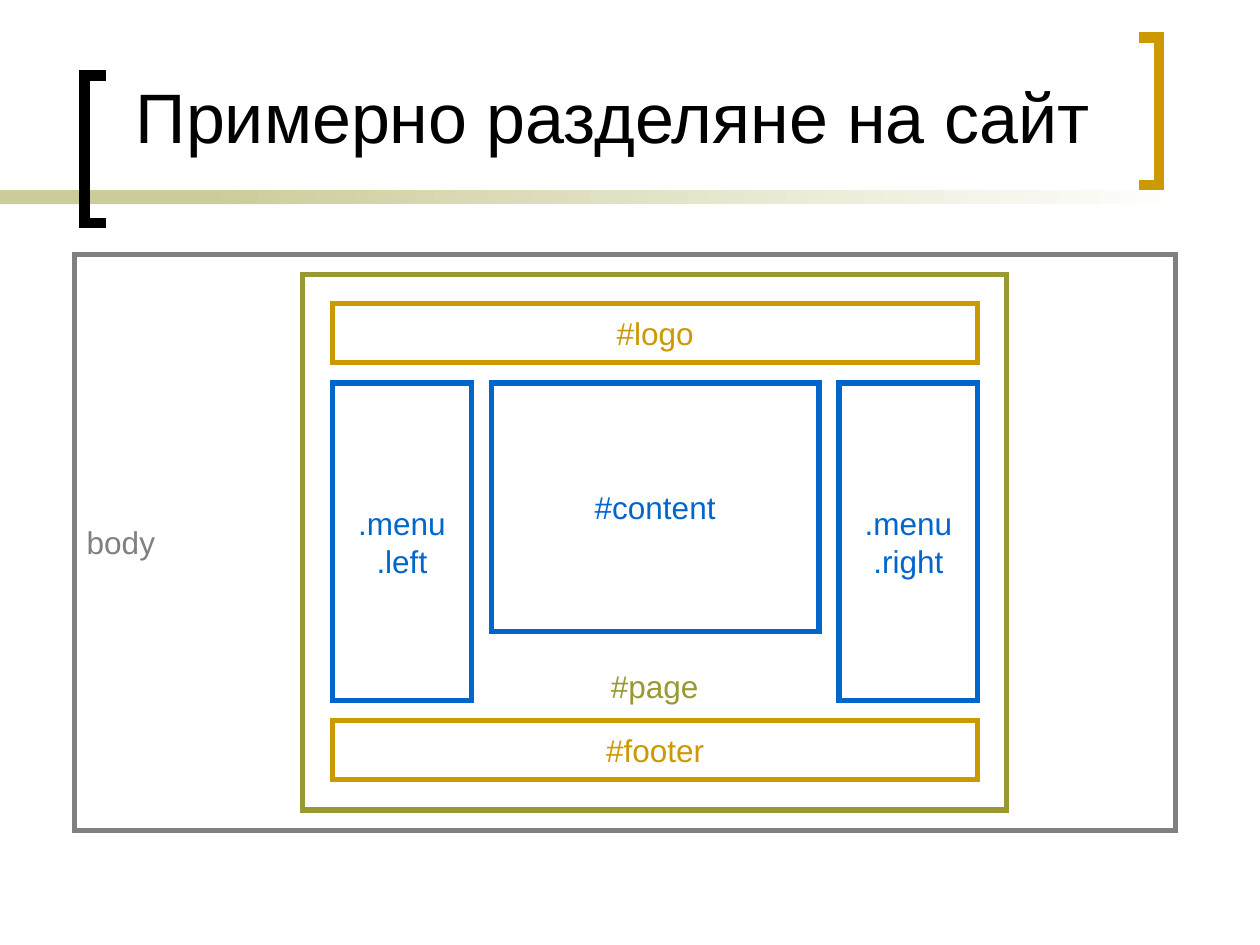
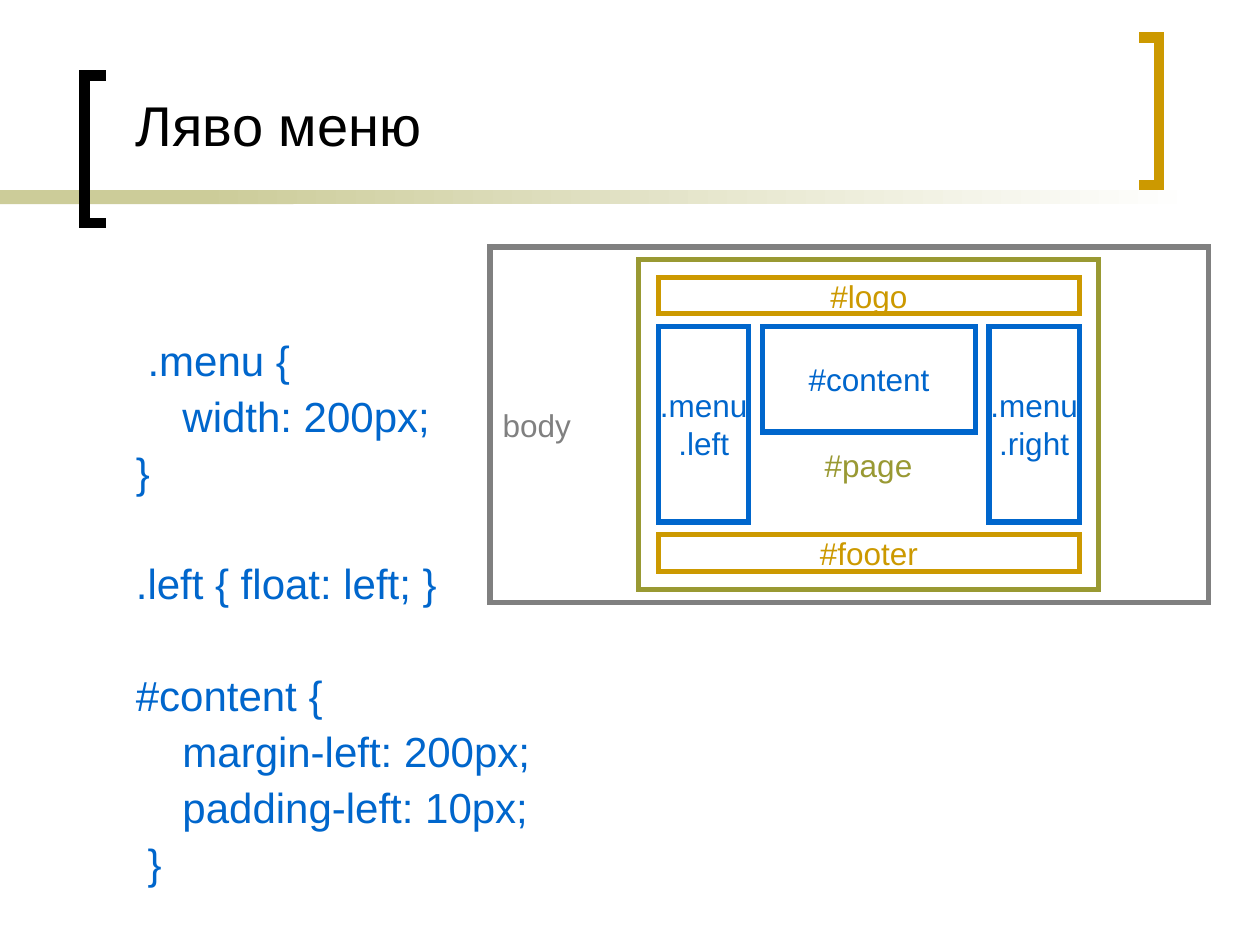
import pptx
import pptx.util
import pptx.dml.color
import pptx.enum.shapes
import pptx.enum.text
import pptx.oxml.ns
import lxml.etree

RGB = pptx.dml.color.RGBColor
BLACK = RGB(0x00, 0x00, 0x00)
WHITE = RGB(0xFF, 0xFF, 0xFF)
GRAY = RGB(0x80, 0x80, 0x80)
GOLD = RGB(0xCC, 0x99, 0x00)
OLIVE = RGB(0x99, 0x99, 0x33)
SAND = RGB(0xCC, 0xCC, 0x99)
BLUE = RGB(0x00, 0x66, 0xCC)

FONT = "Arial"
EMU_PER_PX = 9144  # 100 px to the inch
RECT = pptx.enum.shapes.MSO_SHAPE.RECTANGLE
ALIGN = pptx.enum.text.PP_ALIGN
ANCHOR = pptx.enum.text.MSO_ANCHOR

# Size the wireframe is designed at; it is scaled into any other box
FRAME_W, FRAME_H = 874, 457

CODE_SIZE, CODE_GAP, BLANK_LINE = 24, 6, 32
MENU_CSS = [
    [" .menu {", "    width: 200px;", "}"],
    [".left { float: left; }"],
    ["#content {", "    margin-left: 200px;", "    padding-left: 10px;", " }"],
]


def px(n):
    return pptx.util.Emu(round(n * EMU_PER_PX))


def add_run(p, text, size, color):
    r = p.add_run()
    r.text = text
    r.font.name = FONT
    r.font.size = pptx.util.Pt(size)
    r.font.color.rgb = color


def outline(sp, color, width):
    """Unfilled shape with a square-cornered line."""
    sp.shadow.inherit = False
    sp.fill.background()
    sp.line.color.rgb = color
    sp.line.width = pptx.util.Pt(width)
    ln = sp.line._ln if hasattr(sp.line, "_ln") else None
    if ln is None:
        ln = sp._element.spPr.find(pptx.oxml.ns.qn("a:ln"))
    miter = lxml.etree.SubElement(ln, pptx.oxml.ns.qn("a:miter"))
    miter.set("lim", "800000")


def text_box(s, box, anchor):
    tf = s.shapes.add_textbox(*map(px, box)).text_frame
    tf.word_wrap = True
    tf.vertical_anchor = anchor
    return tf


def band(s, box):
    sp = s.shapes.add_shape(RECT, *map(px, box))
    sp.shadow.inherit = False
    sp.line.fill.background()
    return sp


def bracket(s, box, color, opens_right):
    x, y, w, h = box
    tip, back = (x + w, x) if opens_right else (x, x + w)
    fb = s.shapes.build_freeform(tip, y, scale=EMU_PER_PX)
    fb.add_line_segments([(back, y), (back, y + h), (tip, y + h)], close=False)
    outline(fb.convert_to_shape(), color, 6)


def add_slide(prs, title, size, title_width):
    """Blank slide with the shared band, brackets and title."""
    s = prs.slides.add_slide(prs.slide_layouts[6])

    # Band fading to the right
    solid = band(s, (0, 151, 233, 11))
    solid.fill.solid()
    solid.fill.fore_color.rgb = SAND
    fade = band(s, (158, 151, 792, 11))
    fade.fill.gradient()
    fade.fill.gradient_angle = 0
    for stop, position, color in zip(fade.fill.gradient_stops, (0, 1), (SAND, WHITE)):
        stop.position = position
        stop.color.rgb = color

    # Brackets around the title
    bracket(s, (67, 60, 17, 117), BLACK, True)
    bracket(s, (904, 30, 16, 117), GOLD, False)

    # Title
    tf = text_box(s, (98, 36, title_width, 94), ANCHOR.BOTTOM)
    add_run(tf.paragraphs[0], title, size, BLACK)
    return s


def wireframe(s, box, content_height):
    """Nested page blocks; content_height is in design px."""
    left, top, width, height = box
    kx, ky = width / FRAME_W, height / FRAME_H
    group = s.shapes.add_group_shape()

    def block(label, color, x, y, w, h, align=ALIGN.CENTER,
              anchor=ANCHOR.MIDDLE, bottom=5):
        sp = group.shapes.add_shape(RECT, px(left + x * kx), px(top + y * ky),
                                    px(w * kx), px(h * ky))
        outline(sp, color, 3)
        tf = sp.text_frame
        tf.word_wrap = align == ALIGN.LEFT
        tf.vertical_anchor = anchor
        tf.margin_bottom = px(bottom)
        p = tf.paragraphs[0]
        p.alignment = align
        for i, line in enumerate(label.split("\n")):
            if i:
                p.add_line_break()
            add_run(p, line, 18, color)

    # Design grid: equal gaps between bars and columns
    gap, bar_h, menu_w, menu_h = 16, 47, 110, 252
    x, y, inner_w = 205, 39, 512
    menu_y = y + bar_h + gap
    step = menu_w + gap

    block("body", GRAY, 0, 0, FRAME_W, FRAME_H, align=ALIGN.LEFT)
    block("#page", OLIVE, 181, 16, 559, 425, anchor=ANCHOR.BOTTOM, bottom=84)
    block("#logo", GOLD, x, y, inner_w, bar_h)
    block("#footer", GOLD, x, menu_y + menu_h + gap, inner_w, bar_h)
    block(".menu\n.left", BLUE, x, menu_y, menu_w, menu_h)
    block(".menu\n.right", BLUE, x + inner_w - menu_w, menu_y, menu_w, menu_h)
    block("#content", BLUE, x + step, menu_y, inner_w - 2 * step, content_height)


def code(s, box, rules):
    """CSS rules, set apart by the height of one line."""
    tf = text_box(s, box, ANCHOR.TOP)
    p = tf.paragraphs[0]
    for i, rule in enumerate(rules):
        for j, line in enumerate(rule):
            if i or j:
                p = tf.add_paragraph()
                p.space_before = pptx.util.Pt(CODE_GAP + (0 if j else BLANK_LINE))
            p.line_spacing = 0.9
            add_run(p, line, CODE_SIZE, BLUE)


def main():
    prs = pptx.Presentation()
    prs.slide_width, prs.slide_height = px(1000), px(750)

    # Slide 1: page layout
    s = add_slide(prs, "Примерно разделяне на сайт", 40, 786)
    wireframe(s, (59, 202, 874, 457), 197)

    # Slide 2: left menu
    s = add_slide(prs, "Ляво меню", 32, 803)
    code(s, (98, 265, 861, 450), MENU_CSS)
    wireframe(s, (389, 196, 570, 282), 136)

    prs.save("out.pptx")


if __name__ == "__main__":
    main()
